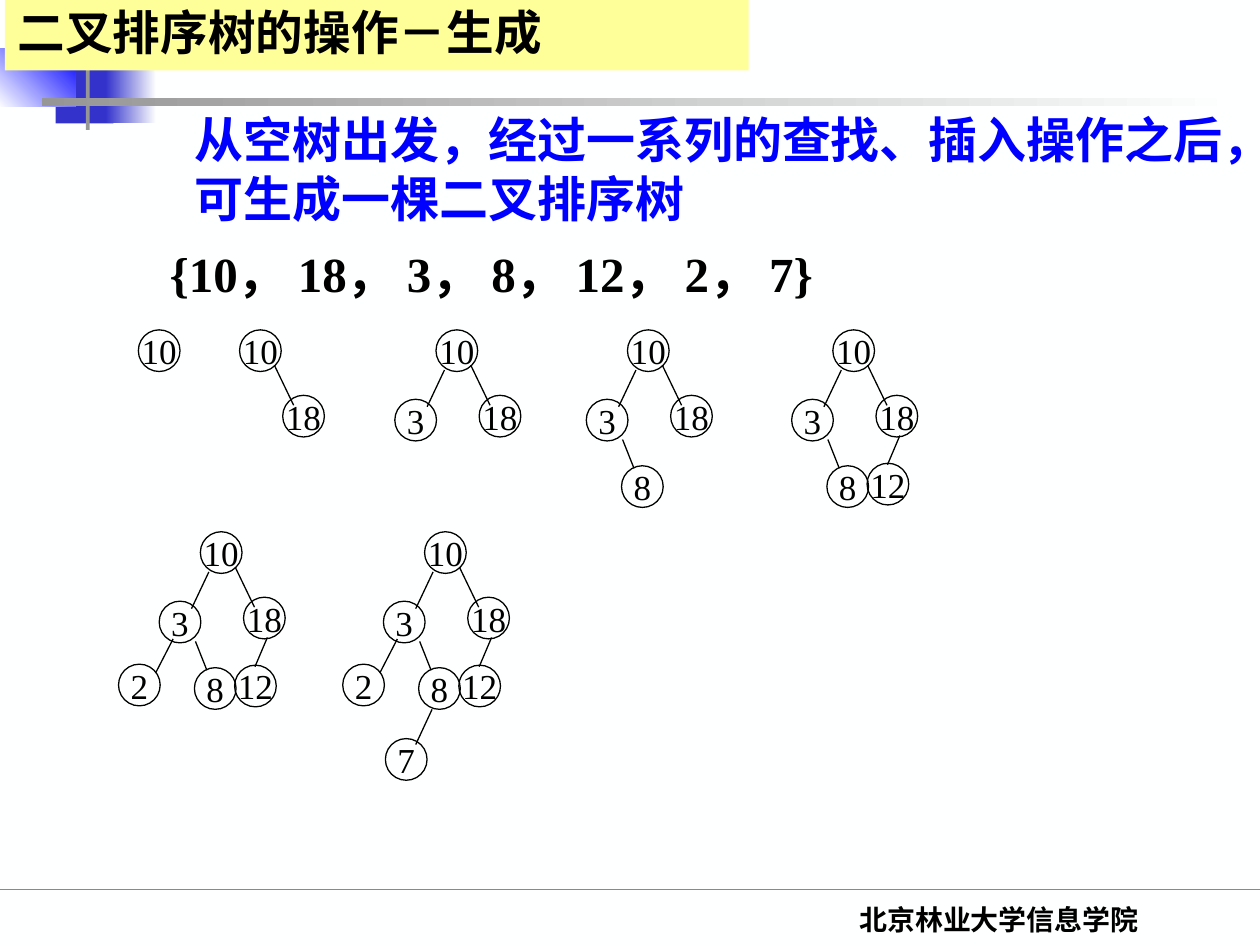
from dataclasses import dataclass
from typing import NamedTuple, Optional

from lxml import etree
from pptx import Presentation
from pptx.dml.color import RGBColor
from pptx.enum.lang import MSO_LANGUAGE_ID
from pptx.enum.shapes import MSO_CONNECTOR, MSO_SHAPE
from pptx.enum.text import MSO_ANCHOR, MSO_AUTO_SIZE, PP_ALIGN
from pptx.oxml.ns import qn
from pptx.util import Cm, Pt

RECTANGLE = MSO_SHAPE.RECTANGLE
OVAL = MSO_SHAPE.OVAL
STRAIGHT = MSO_CONNECTOR.STRAIGHT
MIDDLE, TOP, BOTTOM = MSO_ANCHOR.MIDDLE, MSO_ANCHOR.TOP, MSO_ANCHOR.BOTTOM
LEFT, CENTER = PP_ALIGN.LEFT, PP_ALIGN.CENTER
NO_AUTOFIT = MSO_AUTO_SIZE.NONE
CHINESE = MSO_LANGUAGE_ID.SIMPLIFIED_CHINESE


@dataclass(frozen=True)
class Theme:
    paper: str = "FEFFFF"
    ink: str = "000000"
    statement: str = "0000FF"
    title_band: str = "FFFF99"
    footer_rule: str = "00CC99"
    navy: str = "003366"
    indigo: str = "3333CC"
    grey: str = "969696"
    serif: str = "Times New Roman"
    sans: str = "Arial"
    chinese: str = "Noto Sans CJK SC"
    title_size: float = 27.2
    body_size: float = 28
    key_size: float = 20
    footer_size: float = 16
    line_width: float = 0.75


THEME = Theme()


class Box(NamedTuple):
    left: float
    top: float
    width: float
    height: float

    def lengths(self) -> tuple:
        return tuple(Cm(value) for value in self)


class Point(NamedTuple):
    x: float
    y: float


class Ornament(NamedTuple):
    box: Box
    start: str
    end: Optional[str] = None
    angle: float = 0


class Node(NamedTuple):
    key: int
    corner: Point
    edge: Optional[tuple[Point, Point]] = None


class Style(NamedTuple):
    size: float
    font: str
    color: str = THEME.ink
    bold: bool = True


ORNAMENTS = [
    Ornament(Box(0.79, 0, 1.22, 1.32), THEME.navy),
    Ornament(Box(1.83, 0, 0.91, 1.32), THEME.navy, THEME.paper),
    Ornament(Box(1.12, 1.17, 1.17, 1.32), THEME.indigo),
    Ornament(Box(2.13, 1.17, 1.02, 1.32), THEME.indigo, THEME.paper),
    Ornament(Box(-0.03, 0.97, 1.55, 1.17), THEME.paper, THEME.statement, 45),
    Ornament(Box(1.73, -0.3, 0.08, 2.92), THEME.grey),
    Ornament(Box(0.84, 1.98, 24.16, 0.15), THEME.grey, THEME.paper),
]

NODES = [
    Node(10, Point(0, 0)),
    Node(18, Point(0.87, 1.32), (Point(0.7, 0.71), Point(1.09, 1.52))),
    Node(3, Point(-0.83, 1.4), (Point(0.17, 0.81), Point(-0.18, 1.55))),
    Node(8, Point(-0.12, 2.74), (Point(-0.1, 2.21), Point(0.13, 2.79))),
    Node(12, Point(0.69, 2.69), (Point(1.35, 2.13), Point(1.1, 2.72))),
    Node(2, Point(-1.65, 2.67), (Point(-0.55, 2.16), Point(-0.9, 2.84))),
    Node(7, Point(-0.79, 4.17), (Point(0.15, 3.58), Point(-0.18, 4.29))),
]
NODE_DIAMETER = 0.84
UPPER_ROW, LOWER_ROW = 6.65, 10.72
ROOTS = [Point(x, UPPER_ROW) for x in (2.79, 4.83, 8.79, 12.65, 16.79)]
ROOTS += [Point(x, LOWER_ROW) for x in (4.04, 8.56)]


def rgb(color: str) -> RGBColor:
    return RGBColor.from_string(color)


def write(shape, words: str, style: Style, align=LEFT, anchor=TOP, wrap=True):
    frame = shape.text_frame
    frame.auto_size = NO_AUTOFIT
    frame.word_wrap = wrap
    frame.vertical_anchor = anchor
    paragraph = frame.paragraphs[0]
    paragraph.alignment = align
    run = paragraph.add_run()
    run.text = words
    run.font.size = Pt(style.size)
    run.font.name = style.font
    run.font.bold = style.bold
    run.font.color.rgb = rgb(style.color)
    run.font.language_id = CHINESE
    return paragraph


def indent(paragraph, length: float) -> None:
    properties = paragraph._p.get_or_add_pPr()
    properties.set("marL", str(Cm(length)))
    properties.set("indent", "0")


def draw_line(shapes, start: Point, end: Point, color: str) -> None:
    line = shapes.add_connector(STRAIGHT, *(Cm(v) for v in (*start, *end)))
    line.line.color.rgb = rgb(color)
    line.line.width = Pt(THEME.line_width)
    etree.SubElement(line._element.spPr, qn("a:effectLst"))


def draw_ornament(shapes, ornament: Ornament) -> None:
    block = shapes.add_shape(RECTANGLE, *ornament.box.lengths())
    block.shadow.inherit = False
    block.line.fill.background()
    if ornament.end is None:
        block.fill.solid()
        block.fill.fore_color.rgb = rgb(ornament.start)
        return
    block.fill.gradient()
    block.fill.gradient_angle = ornament.angle
    stops = block.fill.gradient_stops
    for stop, color, position in zip(stops, (ornament.start, ornament.end), (0, 1)):
        stop.color.rgb = rgb(color)
        stop.position = position


def draw_node(shapes, root: Point, node: Node) -> None:
    box = Box(root.x + node.corner.x, root.y + node.corner.y, NODE_DIAMETER, NODE_DIAMETER)
    circle = shapes.add_shape(OVAL, *box.lengths())
    circle.shadow.inherit = False
    circle.fill.background()
    circle.line.color.rgb = rgb(THEME.ink)
    circle.line.width = Pt(THEME.line_width)
    style = Style(THEME.key_size, THEME.serif, bold=False)
    write(circle, str(node.key), style, CENTER, MIDDLE, wrap=False)
    if node.edge:
        start, end = (Point(root.x + p.x, root.y + p.y) for p in node.edge)
        draw_line(shapes, start, end, THEME.ink)


def draw_tree(shapes, root: Point, nodes: list[Node]) -> None:
    tree = shapes.add_group_shape()
    for node in nodes:
        draw_node(tree.shapes, root, node)


def draw_title(slide) -> None:
    title = slide.shapes.title
    title.left, title.top, title.width, title.height = Box(0.1, 0, 14.99, 1.42).lengths()
    title.fill.solid()
    title.fill.fore_color.rgb = rgb(THEME.title_band)
    style = Style(THEME.title_size, THEME.chinese)
    paragraph = write(title, "二叉排序树的操作－生成", style, anchor=MIDDLE)
    paragraph.line_spacing = 0.9
    east_asian = etree.SubElement(paragraph.runs[0].font._element, qn("a:ea"))
    east_asian.set("typeface", THEME.chinese)
    slide.shapes._spTree.append(title._element)


def main() -> None:
    deck = Presentation()
    deck.slide_width, deck.slide_height = Cm(25.4), Cm(19.05)
    slide = deck.slides.add_slide(deck.slide_layouts[5])
    slide.background.fill.solid()
    slide.background.fill.fore_color.rgb = rgb(THEME.paper)
    shapes = slide.shapes

    draw_line(shapes, Point(0, 17.93), Point(25.4, 17.93), THEME.footer_rule)
    for ornament in ORNAMENTS:
        draw_ornament(shapes, ornament)

    school = shapes.add_textbox(*Box(14.88, 18.06, 10.52, 1.27).lengths())
    footer = write(school, "北京林业大学信息学院", Style(THEME.footer_size, THEME.serif), CENTER)
    footer.space_before = Pt(10)

    sequence = shapes.add_textbox(*Box(2.67, 3.94, 21.13, 2.29).lengths())
    keys = "， ".join(str(node.key) for node in NODES)
    listing = write(sequence, f"{{{keys}}}", Style(THEME.body_size, THEME.serif), anchor=BOTTOM)
    indent(listing, 0.5)

    for count, root in enumerate(ROOTS, start=1):
        draw_tree(shapes, root, NODES[:count])

    statement = shapes.add_textbox(*Box(-0.13, 2.08, 25.3, 2.64).lengths())
    sentence = write(
        statement,
        "从空树出发，经过一系列的查找、插入操作之后，可生成一棵二叉排序树",
        Style(THEME.body_size, THEME.sans, THEME.statement),
    )
    indent(sentence, 3.81)
    sentence.space_before = Pt(7)

    draw_title(slide)
    deck.save("out.pptx")


if __name__ == "__main__":
    main()
